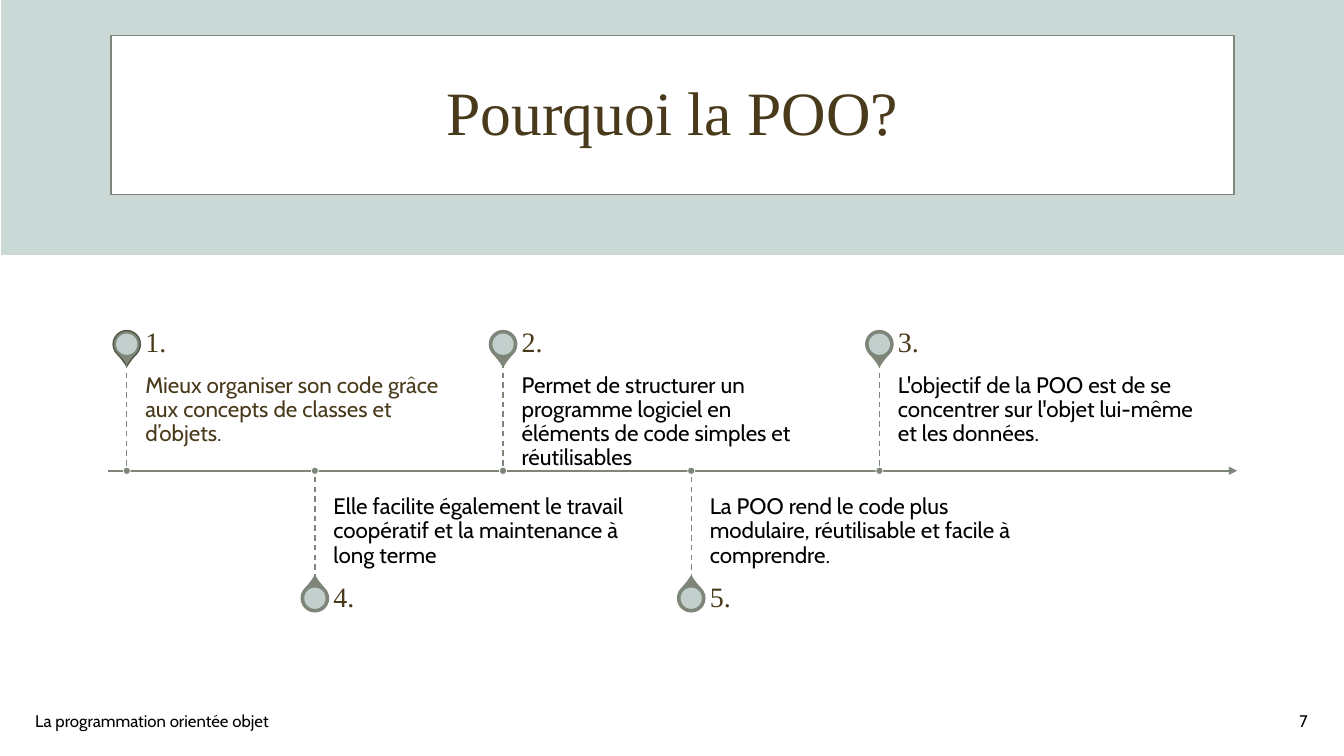
from lxml.etree import SubElement
from pptx import Presentation
from pptx.dml.color import RGBColor
from pptx.enum.dml import MSO_LINE
from pptx.enum.shapes import MSO_CONNECTOR, MSO_SHAPE
from pptx.enum.text import MSO_ANCHOR, MSO_AUTO_SIZE, PP_ALIGN
from pptx.oxml.ns import qn
from pptx.util import Inches, Pt

WIDTH, HEIGHT = 13.33, 7.5
COLORS = {"mist": "CAD8D6", "sage": "7E8679", "moss": "4F5945",
          "brown": "4A3A1C", "black": "000000", "white": "FFFFFF"}
SERIF, SANS = "Times New Roman", "Cabin"

# Positions are percentages of the slide's width and height.
FIRST_COLUMN, COLUMN_STEP = 9.43, 14
AXIS = 62.27
TEXT_GAP, TEXT_WIDTH, TEXT_HEIGHT, NUMBER_HEIGHT = 1.38, 23.26, 14.33, 5.07
DROP, DISC, DOT = 2.03, 1.58, 0.53

ABOVE = {"pin": 45.53, "stem": 48, "number": 42.93, "text": 48, "turn": 135,
         "anchor": MSO_ANCHOR.TOP, "insets": (0, 0.11, 0.11, 0.17)}
BELOW = {"pin": 79.13, "stem": 76.67, "number": 76.67, "text": AXIS, "turn": 315,
         "anchor": MSO_ANCHOR.BOTTOM, "insets": (0, 0.17, 0, 0.11)}

REASONS = [
    ("1.", "Mieux organiser son code grâce aux concepts de classes et d’objets."),
    ("4.", "Elle facilite également le travail coopératif et la maintenance à long terme"),
    ("2.", "Permet de structurer un programme logiciel en éléments de code simples "
           "et réutilisables"),
    ("5.", "La POO rend le code plus modulaire, réutilisable et facile à comprendre."),
    ("3.", "L'objectif de la POO est de se concentrer sur l'objet lui-même "
           "et les données."),
]


def color(name):
    return RGBColor.from_string(COLORS[name])


def across(share):
    return Inches(WIDTH * share / 100)


def down(share):
    return Inches(HEIGHT * share / 100)


def area(left, top, width, height):
    return across(left), down(top), across(width), down(height)


def centred(x, y, size):
    """Square area around a point, its size a share of the slide's width."""
    side = across(size)
    return across(x) - side // 2, down(y) - side // 2, side, side


def add_figure(page, kind, place, fill, line=None, weight=1):
    figure = page.shapes.add_shape(kind, *place)
    figure.shadow.inherit = False
    figure.fill.solid()
    figure.fill.fore_color.rgb = color(fill)
    if line:
        figure.line.color.rgb = color(line)
        figure.line.width = Pt(weight)
    else:
        figure.line.fill.background()
    return figure


def add_line(page, start, end, weight):
    line = page.shapes.add_connector(MSO_CONNECTOR.STRAIGHT, across(start[0]),
                                     down(start[1]), across(end[0]), down(end[1]))
    line.line.color.rgb = color("sage")
    line.line.width = Pt(weight)
    SubElement(line._element.spPr, qn("a:effectLst"))
    return line


def write(box, words, font, size, ink, align=PP_ALIGN.LEFT,
          anchor=MSO_ANCHOR.MIDDLE, spacing=0.9, insets=(0.1, 0.05, 0.1, 0.05)):
    frame = box.text_frame
    frame.text = words
    frame.word_wrap = True
    frame.auto_size = MSO_AUTO_SIZE.NONE
    frame.vertical_anchor = anchor
    (frame.margin_left, frame.margin_top,
     frame.margin_right, frame.margin_bottom) = map(Inches, insets)
    para = frame.paragraphs[0]
    para.alignment = align
    para.line_spacing = spacing
    span = para.runs[0]
    span.font.name = font
    span.font.size = Pt(size)
    span.font.color.rgb = color(ink)


def add_text(page, place, words, font, size, ink, **layout):
    write(page.shapes.add_textbox(*place), words, font, size, ink, **layout)


def add_header(page, words):
    add_figure(page, MSO_SHAPE.RECTANGLE, area(0.08, 0, 100, 33.73), "mist")
    add_figure(page, MSO_SHAPE.RECTANGLE, area(8.25, 4.67, 83.57, 21.07),
               "white", "sage")
    title = page.shapes.title
    title.left, title.top, title.width, title.height = area(3.15, 5.6, 93.77, 19.33)
    write(title, words, SERIF, 44, "brown", align=PP_ALIGN.CENTER)
    page.shapes._spTree.append(title._element)  # in front of the panel


def add_axis(page):
    axis = add_line(page, (8.03, AXIS), (92.05, AXIS), 1.5)
    SubElement(axis.line._get_or_add_ln(), qn("a:tailEnd"), type="triangle")


def add_pin(page, x, side, outline):
    drop = add_figure(page, MSO_SHAPE.TEAR, centred(x, side["pin"], DROP),
                      "sage", outline)
    drop.adjustments[0] = 1.15
    drop.rotation = side["turn"]
    disc = add_figure(page, MSO_SHAPE.OVAL, centred(x, side["pin"], DISC), "mist")
    tint = disc._element.spPr.find(qn("a:solidFill"))[0]
    SubElement(tint, qn("a:alpha"), val="90000")


def add_reason(page, x, side, number, words, ink, outline):
    add_pin(page, x, side, outline)
    left = x + TEXT_GAP
    add_text(page, area(left, side["text"], TEXT_WIDTH, TEXT_HEIGHT), words,
             SANS, 16, ink, anchor=side["anchor"], insets=side["insets"])
    add_text(page, area(left, side["number"], TEXT_WIDTH, NUMBER_HEIGHT), number,
             SERIF, 20, "brown", insets=(0, 0, 0.14, 0))
    stem = add_line(page, (x, side["stem"]), (x, AXIS), 1)
    stem.line.dash_style = MSO_LINE.DASH
    add_figure(page, MSO_SHAPE.OVAL, centred(x, AXIS, DOT), "sage", "white", 0.5)


def main():
    deck = Presentation()
    deck.slide_width, deck.slide_height = Inches(WIDTH), Inches(HEIGHT)
    page = deck.slides.add_slide(deck.slide_layouts[5])

    add_header(page, "Pourquoi la POO?")
    add_text(page, area(1.88, 92.67, 33.76, 5.33), "La programmation orientée objet",
             SANS, 12, "black", spacing=1)
    add_text(page, area(75.54, 92.67, 22.51, 5.33), "7", SANS, 12, "black",
             align=PP_ALIGN.RIGHT, spacing=1)

    add_axis(page)
    for index, (number, words) in enumerate(REASONS):
        side = BELOW if index % 2 else ABOVE
        ink, outline = ("black", "sage") if index else ("brown", "moss")
        add_reason(page, FIRST_COLUMN + index * COLUMN_STEP, side,
                   number, words, ink, outline)

    deck.save("out.pptx")


if __name__ == "__main__":
    main()
